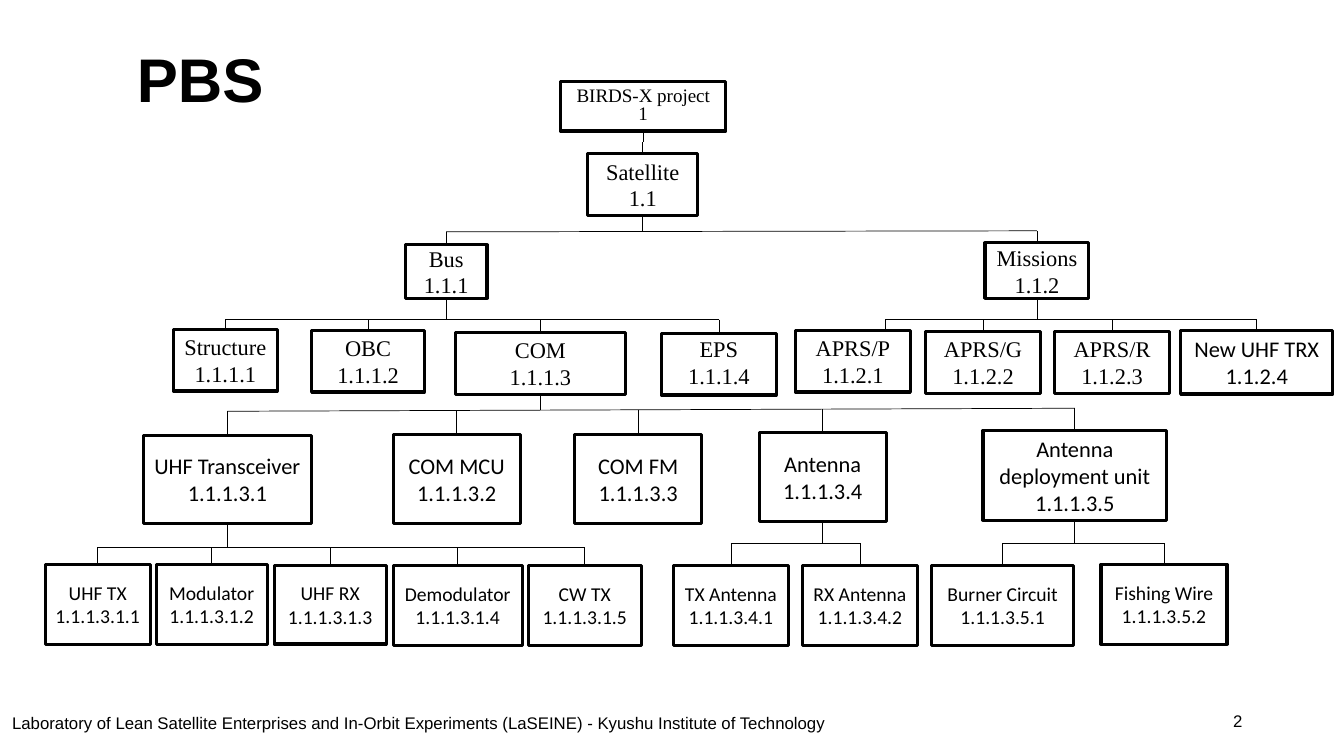
import pptx
import pptx.util
import pptx.dml.color
import pptx.enum.shapes
import pptx.enum.text
import pptx.oxml.ns
import lxml.etree

ink = pptx.dml.color.RGBColor(0, 0, 0)
paper = pptx.dml.color.RGBColor(255, 255, 255)
theme = dict(ink=ink, paper=paper, sans="Arial", serif="Times New Roman",
             body="Calibri", title=44, large=16, root=13.6, small=14,
             foot=12, edge=2.25, link=0.5)
align = pptx.enum.text.PP_ALIGN
mid = pptx.enum.text.MSO_ANCHOR.MIDDLE
top = pptx.enum.text.MSO_ANCHOR.TOP

# The grid has 1333 columns and 750 rows
deck = pptx.Presentation()
cell = pptx.util.Inches(0.01)
deck.slide_width, deck.slide_height = 1333 * cell, 750 * cell
slide = deck.slides.add_slide(deck.slide_layouts[6])
shapes = slide.shapes


def write(shape, text, size, face, bold=False, side=align.CENTER,
          anchor=mid, gap=1.0, pads=(10, 5, 10, 5)):
    frame = shape.text_frame
    frame.word_wrap = True
    frame.vertical_anchor = anchor
    (frame.margin_left, frame.margin_top,
     frame.margin_right, frame.margin_bottom) = [n * cell for n in pads]
    frame.text = text
    for para in frame.paragraphs:
        para.alignment = side
        para.line_spacing = gap
        para.font.size = pptx.util.Pt(size)
        para.font.name = face
        para.font.bold = bold
        para.font.color.rgb = theme["ink"]


def link(x1, y1, x2, y2):
    line = shapes.add_connector(
        pptx.enum.shapes.MSO_CONNECTOR.STRAIGHT,
        *[round(n * cell) for n in (x1, y1, x2, y2)])
    line.line.color.rgb = theme["ink"]
    line.line.width = pptx.util.Pt(theme["link"])
    lxml.etree.SubElement(line._element.spPr,
                          pptx.oxml.ns.qn("a:effectLst"))


# Title, footer and page number
for text, spot, form in [
    ("PBS", (126, 40, 1116, 83),
     dict(size=theme["title"], bold=True, gap=0.9)),
    ("Laboratory of Lean Satellite Enterprises and In-Orbit Experiments "
     "(LaSEINE) - Kyushu Institute of Technology", (12, 704, 850, 23),
     dict(size=theme["foot"], anchor=top, pads=(0, 3, 0, 0))),
    ("2", (942, 695, 300, 40),
     dict(size=theme["foot"], side=align.RIGHT)),
]:
    area = shapes.add_textbox(*[n * cell for n in spot])
    write(area, text, **{"face": theme["sans"], "side": align.LEFT, **form})

# Parts by code: label, left, top, width, height
parts = {
    "1": ("BIRDS-X project", 556, 81, 164, 49),
    "1.1": ("Satellite", 583, 152, 109, 62),
    "1.1.1": ("Bus", 402, 243, 81, 53),
    "1.1.2": ("Missions", 977, 241, 103, 55),
    "1.1.1.1": ("Structure", 172, 327, 103, 61),
    "1.1.1.2": ("OBC", 309, 328, 112, 61),
    "1.1.1.3": ("COM", 452, 330, 168, 61),
    "1.1.1.4": ("EPS", 656, 331, 114, 61),
    "1.1.2.1": ("APRS/P", 789, 328, 114, 61),
    "1.1.2.2": ("APRS/G", 918, 329, 114, 61),
    "1.1.2.3": ("APRS/R", 1046, 329, 114, 61),
    "1.1.2.4": ("New UHF TRX", 1171, 328, 151, 63),
    "1.1.1.3.1": ("UHF Transceiver", 142, 432, 167, 87),
    "1.1.1.3.2": ("COM MCU", 390, 431, 126, 88),
    "1.1.1.3.3": ("COM FM", 570, 431, 126, 88),
    "1.1.1.3.4": ("Antenna", 753, 429, 126, 88),
    "1.1.1.3.5": ("Antenna deployment unit", 975, 427, 182, 89),
    "1.1.1.3.1.1": ("UHF TX", 45, 560, 104, 79),
    "1.1.1.3.1.2": ("Modulator", 155, 560, 110, 79),
    "1.1.1.3.1.3": ("UHF RX", 272, 561, 111, 78),
    "1.1.1.3.1.4": ("Demodulator", 390, 561, 128, 79),
    "1.1.1.3.1.5": ("CW TX", 524, 561, 112, 79),
    "1.1.1.3.4.1": ("TX Antenna", 668, 561, 114, 79),
    "1.1.1.3.4.2": ("RX Antenna", 796, 561, 114, 79),
    "1.1.1.3.5.1": ("Burner Circuit", 924, 561, 141, 79),
    "1.1.1.3.5.2": ("Fishing Wire", 1092, 560, 125, 79),
}

# Heights of each branch line at its left and right ends
rails = {"1": (141, 141), "1.1": (230, 229), "1.1.1": (317, 317),
         "1.1.2": (317, 317), "1.1.1.3": (408, 405),
         "1.1.1.3.1": (543, 543), "1.1.1.3.4": (539, 539),
         "1.1.1.3.5": (539, 539)}

# Links meet a part at its centre, apart from one
joint = {code: left + wide / 2
         for code, (label, left, head, wide, high) in parts.items()}
joint["1.1.2.1"] = 878

# Branch lines, stems and drops
for code, (start, end) in rails.items():
    kids = [kid for kid in parts if kid.rpartition(".")[0] == code]
    first, last = joint[kids[0]], joint[kids[-1]]
    slope = (end - start) / max(last - first, 1)
    if len(kids) > 1:
        link(first, start, last, end)
    label, left, head, wide, high = parts[code]
    x = joint[code]
    link(x, head + high, x, start + slope * (x - first))
    for kid in kids:
        x = joint[kid]
        link(x, start + slope * (x - first), x, parts[kid][2])

# Boxes
for code, (label, *spot) in parts.items():
    box = shapes.add_shape(pptx.enum.shapes.MSO_SHAPE.RECTANGLE,
                           *[n * cell for n in spot])
    box.shadow.inherit = False
    box.fill.solid()
    box.fill.fore_color.rgb = theme["paper"]
    box.line.color.rgb = theme["ink"]
    box.line.width = pptx.util.Pt(theme["edge"])
    depth = code.count(".")
    size = {0: "root", 5: "small"}.get(depth, "large")
    face = "body" if depth > 3 or code == "1.1.2.4" else "serif"
    write(box, label + "\n" + code, theme[size], theme[face],
          gap=1.0 if depth else 0.8,
          pads=(10, 5, 10, 9 if label == "EPS" else 5))

deck.save("out.pptx")
